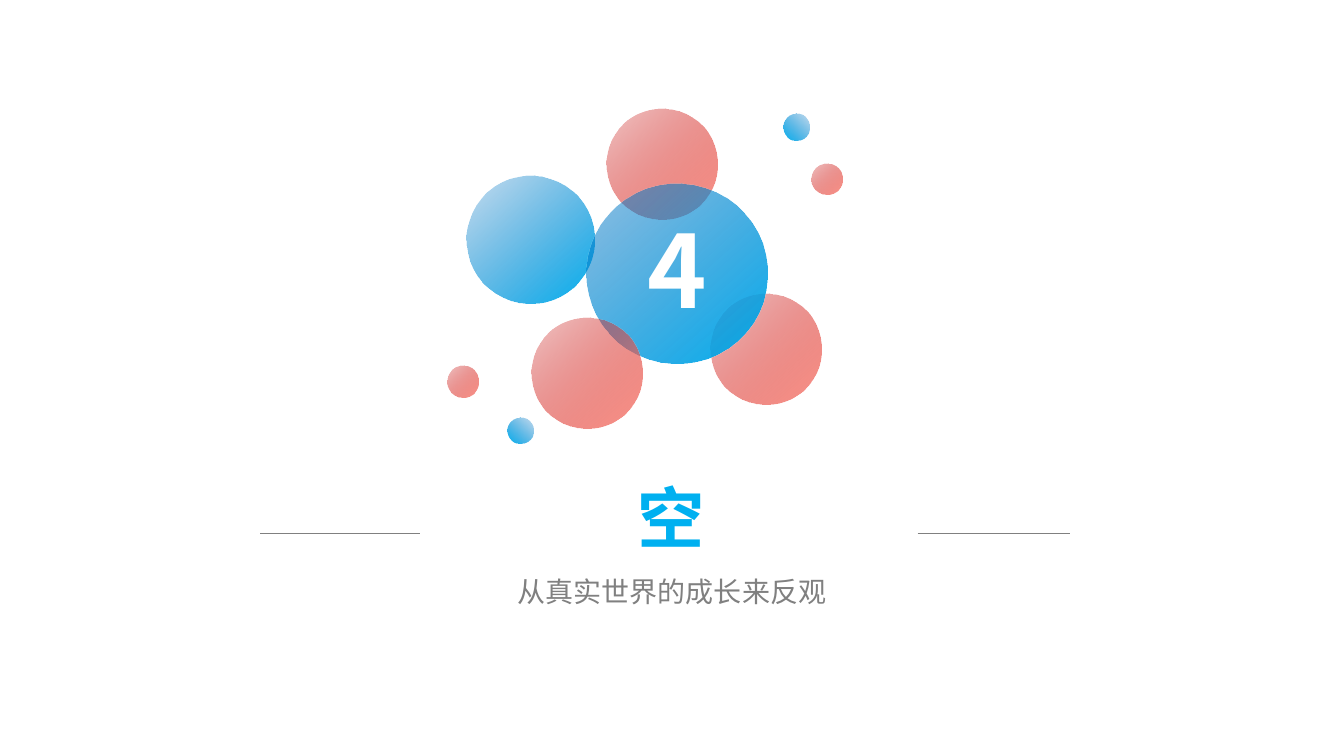
from typing import NamedTuple

from lxml import etree
from pptx import Presentation
from pptx import util as u
from pptx.dml.color import RGBColor
from pptx.enum import shapes, text
from pptx.oxml import ns

FONT = "Noto Sans CJK SC"
WHITE = RGBColor(0xFF, 0xFF, 0xFF)
GREY = RGBColor(0x80, 0x80, 0x80)
SKY = RGBColor(0x00, 0xB0, 0xF0)
BLUE = RGBColor(0x00, 0x70, 0xC0)
RED = RGBColor(0xC0, 0x00, 0x00)
CORAL = RGBColor(0xFE, 0x97, 0x8C)

BLUES = (BLUE, SKY)
REDS = (RED, CORAL)


class Bubble(NamedTuple):
    left: float
    top: float
    size: float
    colors: tuple[RGBColor, RGBColor]
    opacity: int = 22  # percent, at the start of the gradient
    mirrored: bool = False


class Rule(NamedTuple):
    start: float
    end: float


BUBBLES = [
    Bubble(6.02, 1.08, 1.1, REDS),
    Bubble(7.05, 2.91, 1.1, REDS),
    Bubble(4.63, 1.74, 1.27, BLUES),
    Bubble(5.82, 1.82, 1.79, BLUES, opacity=44),
    Bubble(7.77, 1.13, 0.26, BLUES, mirrored=True),
    Bubble(8.05, 1.62, 0.31, REDS),
    Bubble(5.27, 3.15, 1.1, REDS),
    Bubble(5.03, 4.14, 0.26, BLUES, mirrored=True),
    Bubble(4.44, 3.63, 0.31, REDS),
]
RULES = [Rule(2.58, 4.17), Rule(9.1, 10.61)]
RULE_Y = 5.29


def add_bubble(s, bubble: Bubble) -> None:
    sp = s.shapes.add_shape(
        shapes.MSO_SHAPE.OVAL, u.Inches(bubble.left), u.Inches(bubble.top),
        u.Inches(bubble.size), u.Inches(bubble.size))
    sp.shadow.inherit = False
    sp.line.fill.background()
    sp.rotation = 87 if bubble.mirrored else 273
    if bubble.mirrored:
        sp._element.spPr.xfrm.set("flipH", "1")
    sp.fill.gradient()
    sp.fill.gradient_angle = 225
    for stop, color in zip(sp.fill.gradient_stops, bubble.colors):
        stop.color.rgb = color
    first_color = next(sp._element.spPr.iter(ns.qn("a:srgbClr")))
    alpha = etree.SubElement(first_color, ns.qn("a:alpha"))
    alpha.set("val", str(bubble.opacity * 1000))


def add_rule(s, rule: Rule) -> None:
    line = s.shapes.add_connector(
        shapes.MSO_CONNECTOR.STRAIGHT, u.Inches(rule.start), u.Inches(RULE_Y),
        u.Inches(rule.end), u.Inches(RULE_Y))
    line.line.color.rgb = GREY
    line.line.width = u.Pt(0.75)
    etree.SubElement(line._element.spPr, ns.qn("a:effectLst"))


def place(sp, left: float, top: float, width: float, height: float):
    sp.left, sp.top = u.Inches(left), u.Inches(top)
    sp.width, sp.height = u.Inches(width), u.Inches(height)
    return sp


def write(sp, words: str, *, size: float, color: RGBColor,
          bold: bool = False, spacing: float = 0) -> None:
    tf = sp.text_frame
    tf.word_wrap = True
    tf.auto_size = text.MSO_AUTO_SIZE.NONE
    tf.vertical_anchor = text.MSO_ANCHOR.MIDDLE
    p = tf.paragraphs[0]
    p.alignment = text.PP_ALIGN.CENTER
    r = p.add_run()
    r.text = words
    r.font.name, r.font.size = FONT, u.Pt(size)
    r.font.bold, r.font.color.rgb = bold, color
    rPr = r.font._element
    if spacing:
        rPr.set("spc", str(round(spacing * 100)))
    etree.SubElement(rPr, ns.qn("a:ea")).set("typeface", FONT)


def main() -> None:
    prs = Presentation()
    prs.slide_width, prs.slide_height = u.Inches(13.33), u.Inches(7.5)
    s = prs.slides.add_slide(prs.slide_layouts[5])

    # Bubbles and section number
    for bubble in BUBBLES:
        add_bubble(s, bubble)
    number = s.shapes.add_textbox(0, 0, 0, 0)
    write(place(number, 4.73, 2.01, 3.98, 1.31), "4",
          size=72, color=WHITE, bold=True, spacing=-3)

    # Title and subtitle
    write(place(s.shapes.title, 3.85, 4.67, 5.62, 0.91), "空",
          size=48, color=SKY, bold=True)
    subtitle = s.shapes.add_textbox(0, 0, 0, 0)
    write(place(subtitle, 1.43, 5.65, 10.47, 0.44), "从真实世界的成长来反观",
          size=20, color=GREY)

    # Rules on both sides of the title
    for rule in RULES:
        add_rule(s, rule)

    prs.save("out.pptx")


if __name__ == "__main__":
    main()
